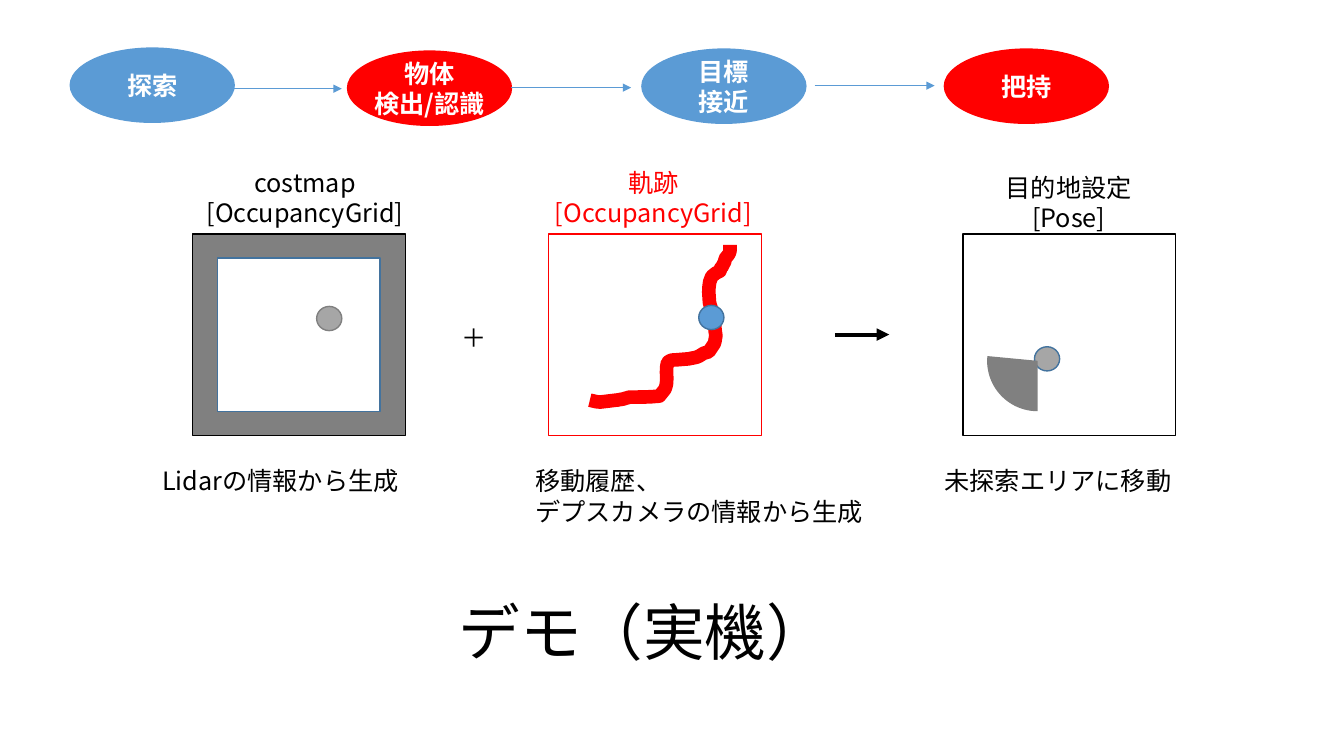
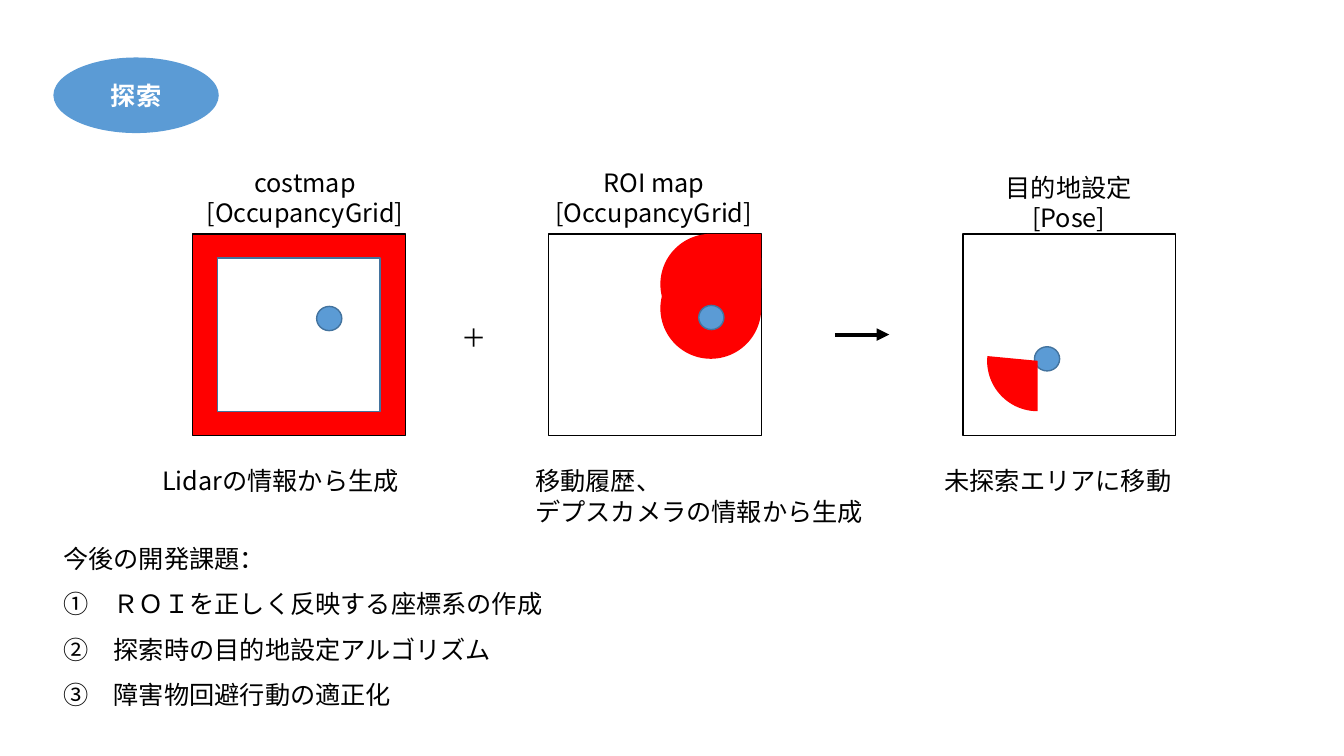
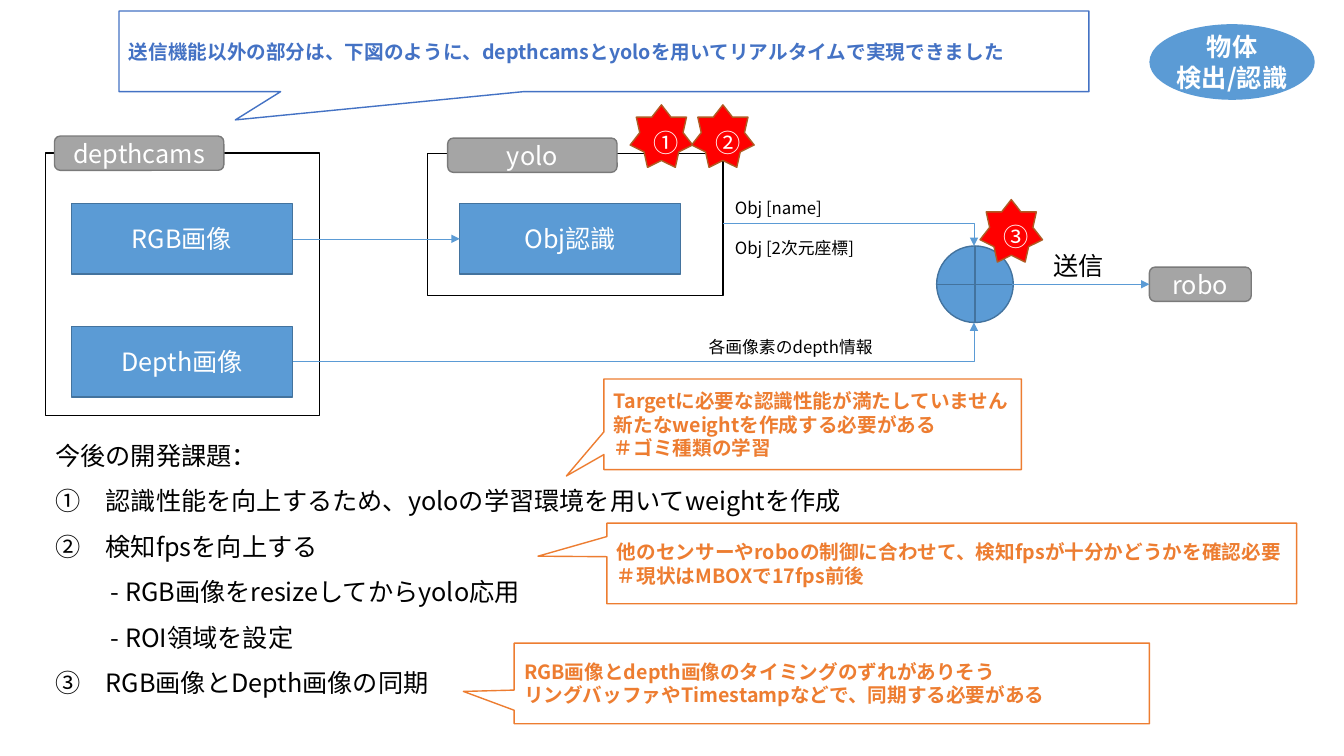
from lxml.etree import SubElement
from pptx import Presentation
from pptx.dml.color import RGBColor
from pptx.enum.shapes import MSO_CONNECTOR as Link, MSO_SHAPE as Kind
from pptx.enum.text import MSO_AUTO_SIZE as Fit, PP_ALIGN as Align
from pptx.oxml.ns import qn
from pptx.util import Pt

PX = 9144  # 100 px to the inch
FONT = "Noto Sans CJK JP"

BLACK = RGBColor(0x00, 0x00, 0x00)
WHITE = RGBColor(0xFF, 0xFF, 0xFF)
RED = RGBColor(0xFF, 0x00, 0x00)
BLUE = RGBColor(0x5B, 0x9B, 0xD5)
EDGE = RGBColor(0x43, 0x73, 0x9E)
ROYAL = RGBColor(0x44, 0x72, 0xC4)
ORANGE = RGBColor(0xED, 0x7D, 0x31)
BROWN = RGBColor(0xAF, 0x5C, 0x24)
GRAY = RGBColor(0x80, 0x80, 0x80)
SILVER = RGBColor(0xA6, 0xA6, 0xA6)
TAG = RGBColor(0xA5, 0xA5, 0xA5)
TAG_EDGE = RGBColor(0x7A, 0x7A, 0x7A)

# Boxes are (left, top, width, height)
STAGE_SIZE = (164, 75)
DETECTION = ["物体", "検出/認識"]
STAGES = [
    (69, 47, ["探索"], BLUE),
    (344, 50, DETECTION, RED),
    (636, 48, ["目標", "接近"], BLUE),
    (936, 48, ["把持"], RED),
]
STAGE_ARROWS = [(220, 88), (507, 87), (808, 85)]
STAGE_ARROW_LENGTH = 119

COSTMAP, MIDDLE, GOAL = [(left, 232, 211, 200) for left in (191, 544, 955)]
FREE_AREA = (216, 256, 161, 152)
ROBOTS = [(314, 304), (693, 303), (1026, 344)]
ROBOT_SIZE = (25, 24)
VIEW = (979, 308, 100, 100)
ROI_DROPS = [(655, top, 100, 100) for top in (232, 256)]
CAPTIONS = [
    ((927, 457, 247, 40), ["未探索エリアに移動"], False),
    ((151, 457, 256, 40), ["Lidarの情報から生成"], True),
    ((521, 457, 348, 71), ["移動履歴、", "デプスカメラの情報から生成"], False),
    ((448, 315, 45, 40), ["＋"], True),
]
MAP_TITLES = [
    ((194, 161, 217, 71), ["costmap", "[OccupancyGrid]"]),
    ((987, 166, 146, 71), ["目的地設定", "[Pose]"]),
]

TRACK_START = (585, 397)
TRACK_CURVES = [  # two control points and an end point each
    ((597, 400), (592, 399), (611, 397)),
    ((613, 397), (616, 396), (618, 396)),
    ((620, 395), (622, 395), (624, 394)),
    ((634, 394), (644, 394), (654, 393)),
    ((661, 384), (659, 388), (661, 381)),
    ((662, 374), (660, 366), (662, 360)),
    ((664, 357), (668, 357), (671, 357)),
    ((671, 357), (683, 356), (683, 356)),
    ((687, 355), (691, 355), (694, 353)),
    ((700, 349), (697, 351), (703, 349)),
    ((710, 338), (708, 344), (710, 333)),
    ((709, 328), (709, 322), (708, 317)),
    ((708, 314), (706, 311), (706, 308)),
    ((703, 298), (704, 304), (703, 290)),
    ((703, 286), (703, 273), (710, 271)),
    ((710, 271), (714, 269), (714, 269)),
    ((717, 259), (713, 272), (718, 261)),
    ((719, 260), (719, 258), (719, 257)),
    ((722, 253), (723, 253), (724, 249)),
    ((724, 247), (724, 245), (724, 243)),
]

SEARCH_TASKS = [
    "今後の開発課題：",
    "①　ＲＯＩを正しく反映する座標系の作成",
    "②　探索時の目的地設定アルゴリズム",
    "③　障害物回避行動の適正化",
]
DETECTION_TASKS = [
    "今後の開発課題：",
    "①　認識性能を向上するため、yoloの学習環境を用いてweightを作成",
    "②　検知fpsを向上する",
    "- RGB画像をresizeしてからyolo応用",
    "- ROI領域を設定",
    "③　RGB画像とDepth画像の同期",
]
MODULE_FRAMES = [(45, 152, 272, 260), (424, 152, 293, 141)]
MODULE_TAGS = [
    ((54, 135, 168, 34), "depthcams"),
    ((444, 137, 168, 34), "yolo"),
    ((1140, 265, 101, 34), "robo"),
]
STEP_SIZE = (219, 70)
STEPS = [(71, 202, "RGB画像"), (71, 324, "Depth画像"), (456, 202, "Obj認識")]
MERGE = (929, 244, 76, 76)
FLOWS = [
    ((291, 237), (456, 237), False),
    ((717, 222), (966, 244), True),
    ((291, 359), (966, 320), True),
    ((1004, 282), (1140, 282), False),
]
FLOW_LABELS = [
    ((719, 191, 302, 71), ["Obj [name]", "Obj [2次元座標]"], 12, 14),
    ((693, 329, 302, 30), ["各画像素のdepth情報"], 12, 0),
    ((1035, 243, 108, 40), ["送信"], 18, 0),
]
STARS = [(625, 104, "①"), (686, 104, "②"), (972, 198, "③")]
CALLOUTS = [
    ((510, 638, 630, 80), (-0.58, 0.1), ORANGE,
     ["RGB画像とdepth画像のタイミングのずれがありそう",
      "リングバッファやTimestampなどで、同期する必要がある"]),
    ((599, 376, 414, 90), (-0.59, 0.57), ORANGE,
     ["Targetに必要な認識性能が満たしていません",
      "新たなweightを作成する必要がある", "＃ゴミ種類の学習"]),
    ((602, 519, 684, 80), (-0.6, -0.09), ORANGE,
     ["他のセンサーやroboの制御に合わせて、検知fpsが十分かどうかを確認必要",
      "＃現状はMBOXで17fps前後"]),
    ((118, 11, 962, 80), (-0.38, 0.85), ROYAL,
     ["送信機能以外の部分は、下図のように、depthcamsとyoloを用いてリアルタイムで実現できました"]),
]


def emu(lengths):
    return [round(length * PX) for length in lengths]


def write(frame, lines, color, size=18, bold=False, align=Align.LEFT, spacing=None, gap=0):
    frame.text = "\n".join(lines)
    for index, para in enumerate(frame.paragraphs):
        para.alignment = align
        if spacing:
            para.line_spacing = spacing
        if gap and index:
            para.space_before = Pt(gap)
        for span in para.runs:
            span.font.size = Pt(size)
            span.font.bold = bold
            span.font.color.rgb = color
            span.font.name = FONT
            SubElement(span.font._element, qn("a:ea"), typeface=FONT)


def add_text(page, at, lines, color=BLACK, wrap=True, **style):
    box = page.shapes.add_textbox(*emu(at))
    frame = box.text_frame
    write(frame, lines, color, **style)
    frame.word_wrap = wrap
    frame.auto_size = Fit.SHAPE_TO_FIT_TEXT
    return box


def add_shape(page, kind, at, fill=None, line=None, adjust=()):
    shape = page.shapes.add_shape(kind, *emu(at))
    shape.shadow.inherit = False
    for index, value in enumerate(adjust):
        shape.adjustments[index] = value
    if fill is None:
        shape.fill.background()
    else:
        shape.fill.solid()
        shape.fill.fore_color.rgb = fill
    if line is None:
        shape.line.fill.background()
    else:
        shape.line.color.rgb = line
        shape.line.width = Pt(1)
    return shape


def add_arrow(page, start, end, color=BLUE, width=0.5, bent=False):
    kind = Link.ELBOW if bent else Link.STRAIGHT
    arrow = page.shapes.add_connector(kind, *emu(start + end))
    arrow.line.color.rgb = color
    arrow.line.width = Pt(width)
    properties = arrow.element.spPr
    if bent:
        properties.find(qn("a:prstGeom")).set("prst", "bentConnector2")
    SubElement(properties.find(qn("a:ln")), qn("a:tailEnd"), type="triangle")
    SubElement(properties, qn("a:effectLst"))


def add_stage(page, left, top, lines, fill):
    stage = add_shape(page, Kind.OVAL, (left, top, *STAGE_SIZE), fill)
    write(stage.text_frame, lines, WHITE, bold=True, align=Align.CENTER)
    stage.text_frame.word_wrap = len(lines) == 1


def add_tasks(page, at, lines):
    box = add_text(page, at, lines, spacing=1.5)
    for para in box.text_frame.paragraphs:
        if para.text.startswith("-"):
            para._p.get_or_add_pPr().set("marL", str(55 * PX))


def add_track(page):
    points, start = [], TRACK_START
    for first, second, end in TRACK_CURVES:
        for t in (0.25, 0.5, 0.75, 1):
            s = 1 - t
            points.append(emu(
                s**3 * a + 3 * s * s * t * b + 3 * s * t * t * c + t**3 * d
                for a, b, c, d in zip(start, first, second, end)))
        start = end
    builder = page.shapes.build_freeform(*emu(TRACK_START))
    builder.add_line_segments(points, close=False)
    track = builder.convert_to_shape()
    track.shadow.inherit = False
    track.fill.background()
    track.line.color.rgb = RED
    track.line.width = Pt(9.75)


def add_rois(page):
    for at in ROI_DROPS:
        add_shape(page, Kind.TEAR, at, RED)


def add_maps(page, accent, frame_color, draw_middle, robots, title_at, title, title_color):
    """Draw costmap plus middle map leading to the goal map."""
    add_shape(page, Kind.RECTANGLE, COSTMAP, accent, BLACK)
    add_shape(page, Kind.RECTANGLE, FREE_AREA, WHITE, EDGE)
    add_shape(page, Kind.RECTANGLE, MIDDLE, line=frame_color)
    draw_middle(page)
    add_shape(page, Kind.RECTANGLE, GOAL, line=BLACK)
    for spot, (fill, line) in zip(ROBOTS, robots):
        add_shape(page, Kind.OVAL, spot + ROBOT_SIZE, fill, line)
    add_shape(page, Kind.PIE, VIEW, accent, adjust=(0, 57.26)).rotation = 90
    add_arrow(page, (828, 332), (882, 332), BLACK, 3)
    for at, lines, wrap in CAPTIONS:
        add_text(page, at, lines, wrap=wrap)
    for at, lines in MAP_TITLES:
        add_text(page, at, lines, wrap=False, align=Align.CENTER)
    add_text(page, title_at, [title, "[OccupancyGrid]"], title_color,
             wrap=False, align=Align.CENTER)


def build_demo(page):
    add_maps(page, GRAY, RED, add_track, [(SILVER, GRAY), (BLUE, EDGE), (SILVER, EDGE)],
             (537, 161, 222, 71), "軌跡", RED)
    add_text(page, (445, 584, 390, 84), ["デモ（実機）"], wrap=False, size=44)
    for stage in STAGES:
        add_stage(page, *stage)
    for left, top in STAGE_ARROWS:
        add_arrow(page, (left, top), (left + STAGE_ARROW_LENGTH, top))


def build_search(page):
    add_maps(page, RED, BLACK, add_rois, [(BLUE, EDGE)] * 3,
             (540, 161, 217, 71), "ROI map", BLACK)
    add_stage(page, 53, 57, ["探索"], BLUE)
    add_tasks(page, (53, 519, 851, 192), SEARCH_TASKS)


def build_detection(page):
    for at in MODULE_FRAMES:
        add_shape(page, Kind.RECTANGLE, at, line=BLACK)
    for at, name in MODULE_TAGS:
        tag = add_shape(page, Kind.ROUNDED_RECTANGLE, at, TAG, TAG_EDGE)
        write(tag.text_frame, [name], WHITE, align=Align.CENTER)
    for left, top, name in STEPS:
        step = add_shape(page, Kind.RECTANGLE, (left, top, *STEP_SIZE), BLUE, EDGE)
        write(step.text_frame, [name], WHITE, align=Align.CENTER)
    for at, lines, size, gap in FLOW_LABELS:
        add_text(page, at, lines, size=size, gap=gap)
    add_shape(page, Kind.FLOWCHART_OR, MERGE, BLUE, EDGE)
    for start, end, bent in FLOWS:
        add_arrow(page, start, end, bent=bent)
    for left, top, number in STARS:
        star = add_shape(page, Kind.STAR_7_POINT, (left, top, 62, 62), RED, BROWN)
        write(star.text_frame, [number], WHITE, align=Align.CENTER, spacing=1.5)
    add_tasks(page, (45, 417, 851, 283), DETECTION_TASKS)
    for at, tip, color, lines in CALLOUTS:
        callout = add_shape(page, Kind.RECTANGULAR_CALLOUT, at, WHITE, color, tip)
        write(callout.text_frame, lines, color, size=14, bold=True)
    add_stage(page, 1140, 24, DETECTION, BLUE)


def main():
    deck = Presentation()
    deck.slide_width, deck.slide_height = emu((1333, 750))
    for build in (build_demo, build_search, build_detection):
        build(deck.slides.add_slide(deck.slide_layouts[6]))
    deck.save("out.pptx")


if __name__ == "__main__":
    main()
